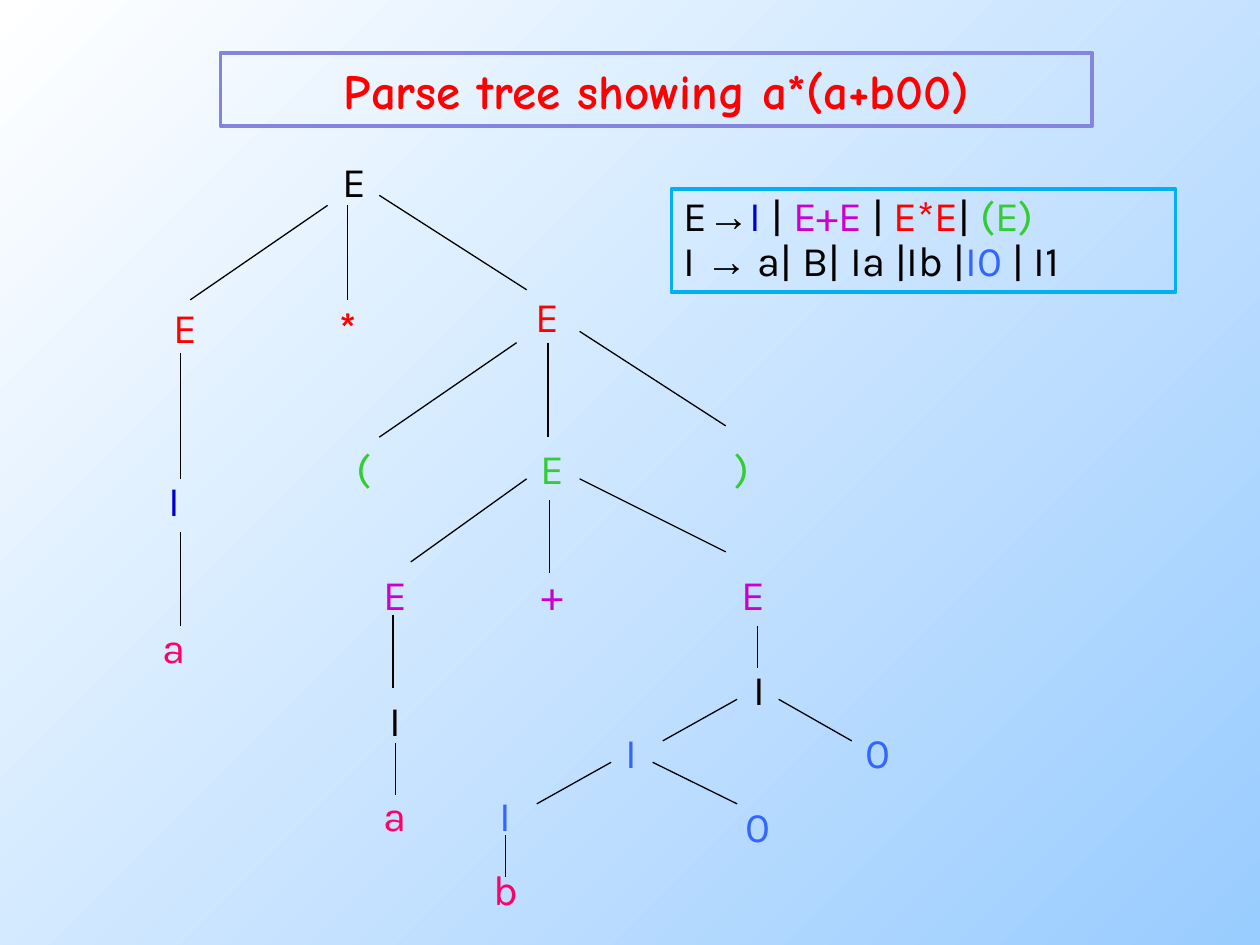
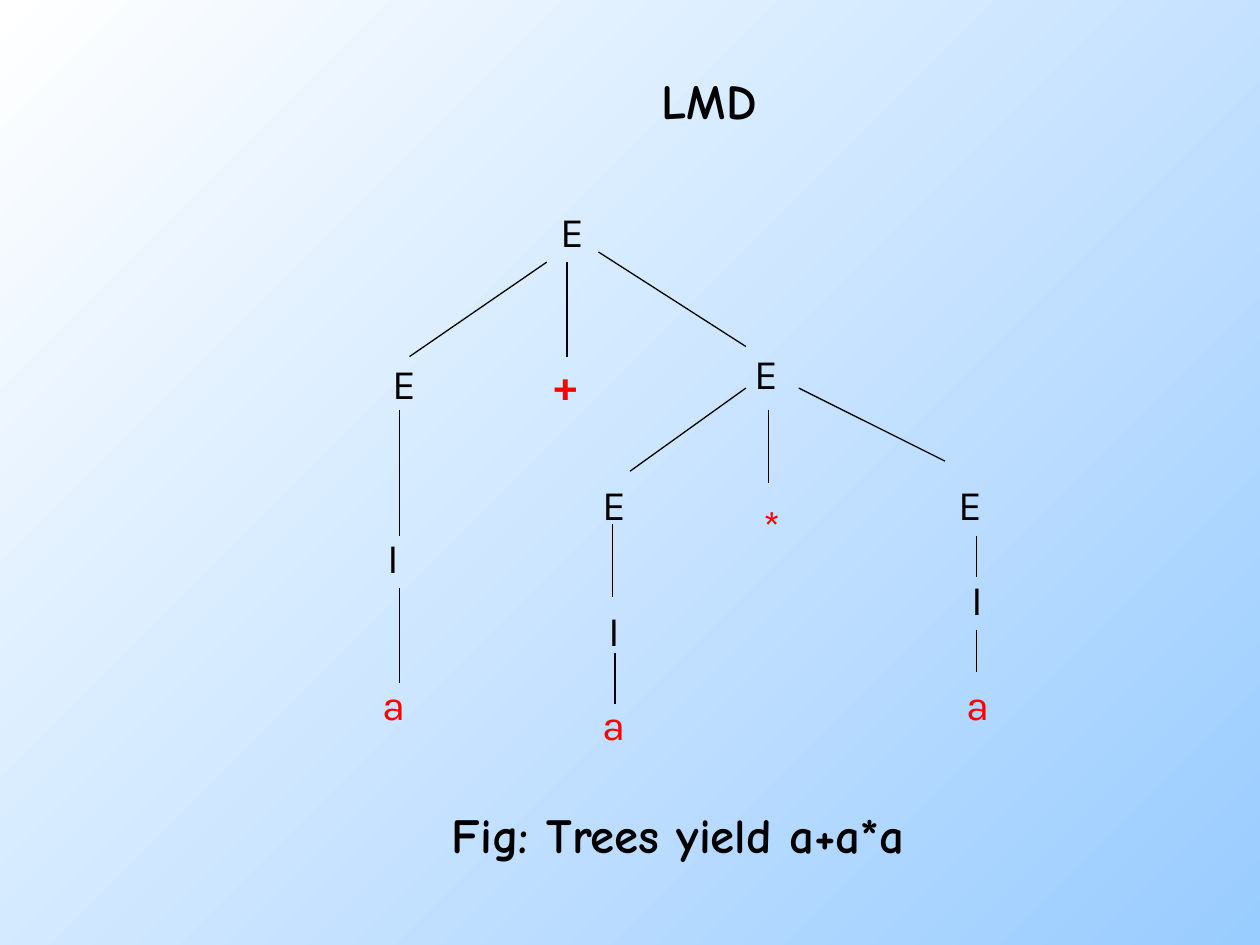
from dataclasses import dataclass

from lxml import etree
from pptx import Presentation
from pptx.dml.color import RGBColor
from pptx.enum.shapes import MSO_CONNECTOR, MSO_SHAPE
from pptx.enum.text import MSO_ANCHOR, MSO_AUTO_SIZE, PP_ALIGN
from pptx.oxml.ns import qn
from pptx.util import Emu, Pt

SCALE = 9144
STRAIGHT = MSO_CONNECTOR.STRAIGHT
RECT = MSO_SHAPE.RECTANGLE
TOP, MIDDLE = MSO_ANCHOR.TOP, MSO_ANCHOR.MIDDLE
NO_FIT, GROW = MSO_AUTO_SIZE.NONE, MSO_AUTO_SIZE.SHAPE_TO_FIT_TEXT
CENTER, LEFT = PP_ALIGN.CENTER, PP_ALIGN.LEFT

BLACK = RGBColor(0x00, 0x00, 0x00)
WHITE = RGBColor(0xFF, 0xFF, 0xFF)
SKY = RGBColor(0x99, 0xCC, 0xFF)
RED = RGBColor(0xFF, 0x00, 0x00)
NAVY = RGBColor(0x00, 0x00, 0xCC)
GREEN = RGBColor(0x33, 0xCC, 0x33)
PURPLE = RGBColor(0xCC, 0x00, 0xCC)
BLUE = RGBColor(0x33, 0x66, 0xFF)
PINK = RGBColor(0xFF, 0x00, 0x66)
LILAC = RGBColor(0x85, 0x85, 0xE0)
CYAN = RGBColor(0x00, 0xB0, 0xF0)

HEADING = {"name": "Comic Neue", "size": Pt(28), "bold": True}
SYMBOL = {"name": "Karla", "size": Pt(24), "bold": False}
BOLD_SYMBOL = SYMBOL | {"bold": True}
ARROW = SYMBOL | {"name": "Arial"}
CENTERED = {"word_wrap": True, "auto_size": NO_FIT, "vertical_anchor": MIDDLE}
LABEL = CENTERED | {"word_wrap": False}
GROWING = {"word_wrap": True, "auto_size": GROW, "vertical_anchor": TOP}


@dataclass(frozen=True)
class Node:
    text: str
    x: int
    y: int
    color: RGBColor = BLACK
    w: int = 25
    h: int = 33
    font: tuple = tuple(SYMBOL.items())


@dataclass(frozen=True)
class Edge:
    x1: int
    y1: int
    x2: int
    y2: int

    def shifted(self, dx: int, dy: int) -> "Edge":
        return Edge(self.x1 + dx, self.y1 + dy, self.x2 + dx, self.y2 + dy)


BOLD = tuple(BOLD_SYMBOL.items())

ROOT_EDGES = [
    Edge(260, 163, 151, 238), Edge(276, 163, 276, 238), Edge(301, 155, 418, 230),
    Edge(143, 280, 143, 380), Edge(143, 422, 143, 497),
]
BRACKET_EDGES = [
    Edge(410, 272, 301, 347), Edge(435, 272, 435, 347), Edge(460, 263, 576, 338),
]
INNER_EDGES = [
    Edge(418, 380, 326, 446), Edge(436, 397, 436, 455), Edge(460, 380, 576, 438),
    Edge(312, 488, 312, 546), Edge(314, 590, 314, 631), Edge(601, 497, 601, 530),
]
IDENTIFIER_EDGES = [
    Edge(585, 555, 526, 588), Edge(618, 555, 676, 588),
    Edge(485, 605, 426, 638), Edge(518, 605, 585, 638),
    Edge(401, 663, 401, 696),
]

PARSE_NODES = [
    Node("E", 260, 122, w=42, h=42),
    Node("E", 126, 238, RED, 42, 42),
    Node("*", 260, 247, RED, 33, 25, BOLD),
    Node("E", 418, 238, RED, 33, 25),
    Node("I", 126, 380, NAVY),
    Node("a", 126, 497, PINK),
    Node("(", 276, 355, GREEN),
    Node("E", 426, 355, GREEN),
    Node(")", 576, 355, GREEN),
    Node("E", 301, 455, PURPLE),
    Node("+", 426, 455, PURPLE),
    Node("E", 585, 455, PURPLE),
    Node("I", 301, 555),
    Node("a", 301, 630, PINK),
    Node("I", 599, 538, w=8, h=17),
    Node("I", 493, 588, BLUE, 17, 17),
    Node("0", 693, 588, BLUE, 8, 17),
    Node("I", 393, 638, BLUE, 17, 17),
    Node("0", 593, 647, BLUE, 17, 17),
    Node("b", 393, 697, PINK, 17, 17),
]
LMD_NODES = [
    Node("E", 442, 167),
    Node("E", 300, 283, w=42, h=42),
    Node("+", 433, 292, RED, 33, 25, BOLD),
    Node("E", 592, 283, w=33, h=25),
    Node("I", 300, 425),
    Node("a", 300, 542, RED),
    Node("E", 475, 383),
    Node("*", 600, 400, RED),
    Node("E", 758, 383),
    Node("I", 475, 483),
    Node("a", 475, 558, RED),
    Node("I", 772, 467, w=8, h=17),
    Node("a", 768, 550, RED, 17, 17),
]

PARSE_EDGES = ROOT_EDGES + BRACKET_EDGES + INNER_EDGES + IDENTIFIER_EDGES
LMD_EDGES = (
    [e.shifted(174, 45) for e in ROOT_EDGES]
    + [e.shifted(174, -72) for e in INNER_EDGES]
    + [Edge(775, 500, 775, 533)]
)

GRAMMAR = [
    [("E", BLACK), ("→", BLACK), ("I", NAVY), (" | ", BLACK), ("E+E", PURPLE),
     (" | ", BLACK), ("E*E", RED), ("| ", BLACK), ("(E)", GREEN)],
    [("I ", BLACK), ("→", BLACK), (" a| B| Ia |Ib |", BLACK), ("I0", BLUE),
     (" | I1", BLACK)],
]


def px(*values: int) -> list[Emu]:
    return [Emu(v * SCALE) for v in values]


def apply(target, values: dict) -> None:
    for name, value in values.items():
        setattr(target, name, value)


def add_run(p, text: str, color: RGBColor, font: dict) -> None:
    r = p.add_run()
    r.text = text
    apply(r.font, font)
    r.font.color.rgb = color


def write_line(sp, text: str, color: RGBColor, font: dict, frame: dict) -> None:
    tf = sp.text_frame
    apply(tf, frame)
    p = tf.paragraphs[0]
    p.alignment = CENTER
    add_run(p, text, color, font)


def outline(sp, color: RGBColor) -> None:
    sp.line.color.rgb = color
    sp.line.width = Pt(2.25)


def add_titled_slide(prs, text: str, x: int, y: int, color: RGBColor):
    s = prs.slides.add_slide(prs.slide_layouts[5])
    sp = s.shapes.title
    apply(sp, dict(zip(("left", "top", "width", "height"), px(x, y, 692, 58))))
    write_line(sp, text, color, HEADING, CENTERED)
    return s


def add_edge(s, edge: Edge) -> None:
    sp = s.shapes.add_connector(STRAIGHT, *px(edge.x1, edge.y1, edge.x2, edge.y2))
    sp.line.color.rgb = BLACK
    sp.line.width = Pt(0.75)
    etree.SubElement(sp._element.spPr, qn("a:effectLst"))


def add_node(s, node: Node) -> None:
    sp = s.shapes.add_textbox(*px(node.x, node.y, node.w, node.h))
    write_line(sp, node.text, node.color, dict(node.font), LABEL)


def draw_tree(s, nodes: list[Node], edges: list[Edge]) -> None:
    for edge in edges:
        add_edge(s, edge)
    for node in nodes:
        add_node(s, node)


def add_grammar(s) -> None:
    sp = s.shapes.add_shape(RECT, *px(533, 150, 400, 82))
    sp.shadow.inherit = False
    sp.fill.background()
    outline(sp, CYAN)
    tf = sp.text_frame
    apply(tf, GROWING)
    for i, rule in enumerate(GRAMMAR):
        p = tf.add_paragraph() if i else tf.paragraphs[0]
        apply(p, {"alignment": LEFT, "line_spacing": 0.9})
        for text, color in rule:
            add_run(p, text, color, ARROW if text == "→" else SYMBOL)


def set_background(prs) -> None:
    fill = prs.slide_master.background.fill
    fill.gradient()
    fill.gradient_angle = 315
    for stop, color in zip(fill.gradient_stops, (WHITE, SKY)):
        stop.color.rgb = color


def main() -> None:
    prs = Presentation()
    prs.slide_width, prs.slide_height = px(1000, 750)
    set_background(prs)

    s = add_titled_slide(prs, "Parse tree showing a*(a+b00)", 175, 42, RED)
    outline(s.shapes.title, LILAC)
    draw_tree(s, PARSE_NODES, PARSE_EDGES)
    add_grammar(s)

    s = add_titled_slide(prs, "LMD", 217, 50, BLACK)
    draw_tree(s, LMD_NODES, LMD_EDGES)
    caption = s.shapes.add_textbox(*px(192, 633, 692, 58))
    write_line(caption, "Fig: Trees yield a+a*a", BLACK, HEADING, CENTERED)

    prs.save("out.pptx")


if __name__ == "__main__":
    main()
